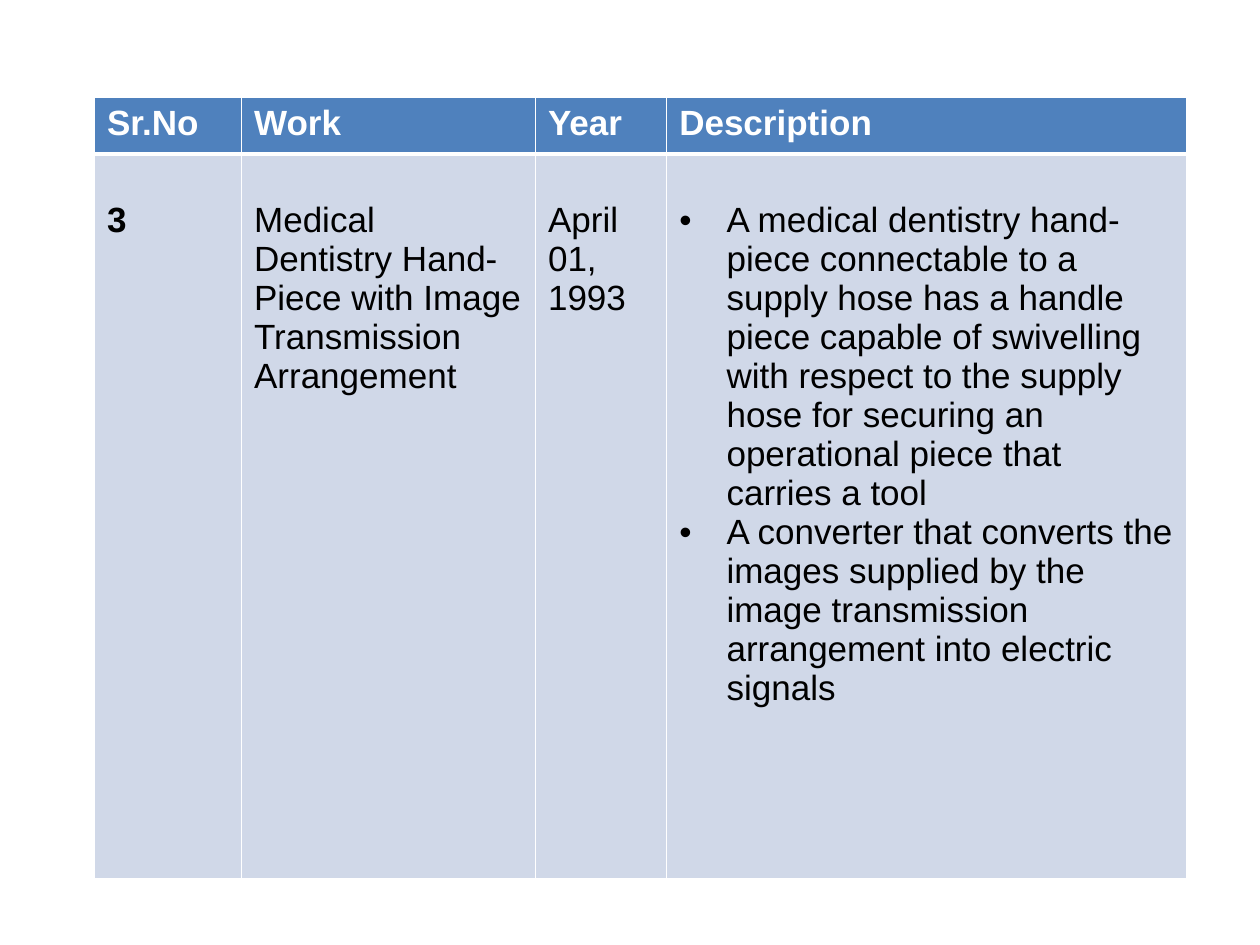
from dataclasses import dataclass

from lxml import etree
from pptx import Presentation
from pptx.dml.color import RGBColor
from pptx.oxml.ns import qn
from pptx.util import Pt

COLORS = {"header": "4F81BD", "body": "D0D8E8", "line": "FFFFFF",
          "light": "FFFFFF", "dark": "000000"}
FONT = "Arial"
TEXT_SIZE = 20
BULLET_INDENT = 27
THIN, THICK = 1, 3
BLANK_LAYOUT = 6


@dataclass
class Column:
    width: float
    heading: str
    entries: list[str]
    bold: bool = False
    bulleted: bool = False


@dataclass
class RowStyle:
    height: float
    fill: str
    ink: str
    margin_top: float
    borders: dict[str, float]


COLUMNS = [
    Column(84, "Sr.No", ["3"], bold=True),
    Column(168, "Work", ["Medical Dentistry Hand-Piece with Image "
                         "Transmission Arrangement"]),
    Column(75, "Year", ["April 01, 1993"]),
    Column(297, "Description", [
        "A medical dentistry hand-piece connectable to a supply hose has a "
        "handle piece capable of swivelling with respect to the supply hose "
        "for securing an operational piece that carries a tool",
        "A converter that converts the images supplied by the image "
        "transmission arrangement into electric signals",
    ], bulleted=True),
]
HEADER = RowStyle(32.5, "header", "light", 3.6,
                  {"lnL": THIN, "lnR": THIN, "lnT": THIN, "lnB": THICK})
BODY = RowStyle(414, "body", "dark", 26.6,
                {"lnL": THIN, "lnR": THIN, "lnT": THICK, "lnB": THIN})


def rgb(name: str) -> RGBColor:
    return RGBColor.from_string(COLORS[name])


def add_borders(cell, borders: dict[str, float]) -> None:
    properties = cell._tc.get_or_add_tcPr()
    for side, width in borders.items():
        line = etree.SubElement(properties, qn("a:" + side), w=str(Pt(width)))
        fill = etree.SubElement(line, qn("a:solidFill"))
        etree.SubElement(fill, qn("a:srgbClr"), val=COLORS["line"])


def add_bullet(para) -> None:
    properties = para._p.get_or_add_pPr()
    properties.set("marL", str(Pt(BULLET_INDENT)))
    properties.set("indent", str(-Pt(BULLET_INDENT)))
    etree.SubElement(properties, qn("a:buFont"), typeface=FONT)
    etree.SubElement(properties, qn("a:buChar"), char="•")


def fill_cell(cell, style: RowStyle, entries: list[str], bold: bool,
              bulleted: bool = False) -> None:
    add_borders(cell, style.borders)
    cell.fill.solid()
    cell.fill.fore_color.rgb = rgb(style.fill)
    cell.margin_top = Pt(style.margin_top)
    frame = cell.text_frame
    for index, entry in enumerate(entries):
        para = frame.add_paragraph() if index else frame.paragraphs[0]
        if bulleted:
            add_bullet(para)
        span = para.add_run()
        span.text = entry
        span.font.name = FONT
        span.font.size = Pt(TEXT_SIZE)
        span.font.bold = bold
        span.font.color.rgb = rgb(style.ink)


def main() -> None:
    deck = Presentation()
    deck.slide_width, deck.slide_height = Pt(720), Pt(540)
    page = deck.slides.add_slide(deck.slide_layouts[BLANK_LAYOUT])

    # Table frame
    width = sum(column.width for column in COLUMNS)
    table = page.shapes.add_table(
        2, len(COLUMNS), Pt(54), Pt(55.6), Pt(width),
        Pt(HEADER.height + BODY.height)).table
    table.horz_banding = False
    for row, style in zip(table.rows, (HEADER, BODY)):
        row.height = Pt(style.height)

    # Heading and entries of each column
    for index, column in enumerate(COLUMNS):
        table.columns[index].width = Pt(column.width)
        fill_cell(table.cell(0, index), HEADER, [column.heading], bold=True)
        fill_cell(table.cell(1, index), BODY, column.entries, column.bold,
                  column.bulleted)

    deck.save("out.pptx")


if __name__ == "__main__":
    main()
